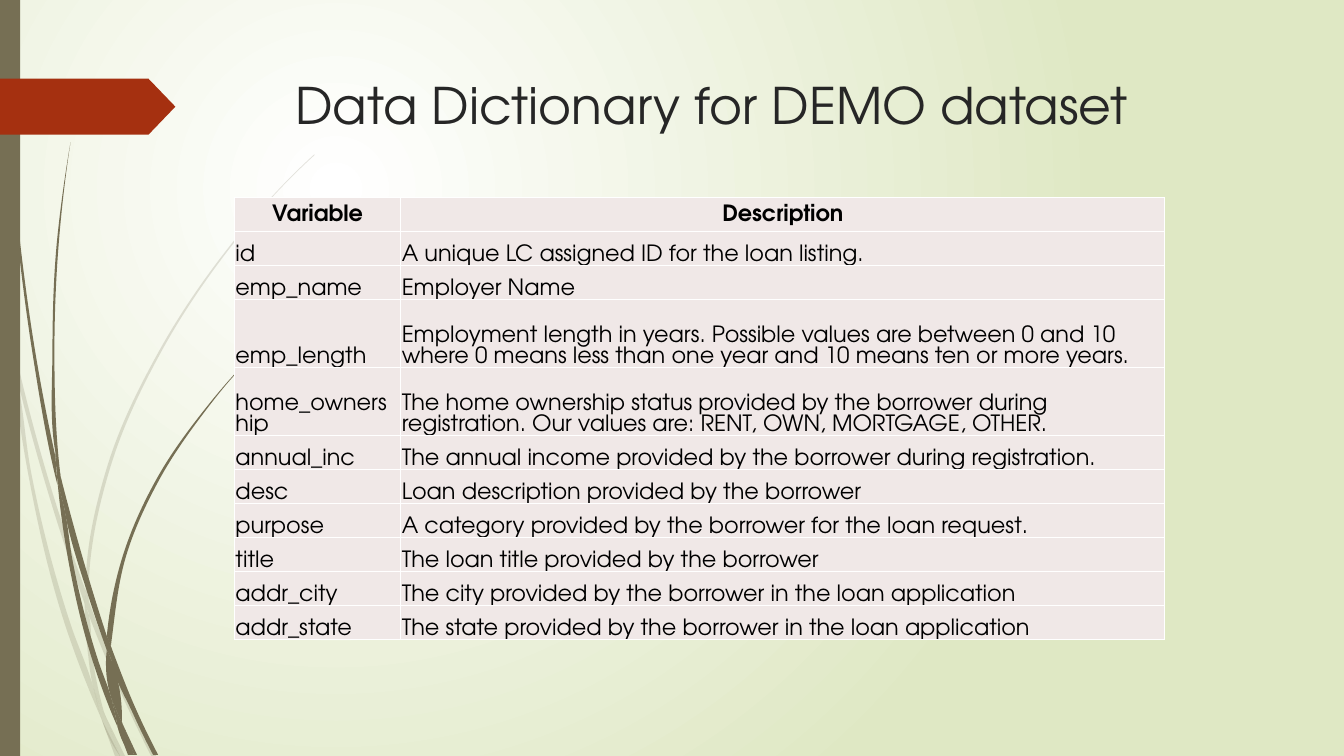
import pptx
import pptx.util
import pptx.dml.color
import pptx.enum.shapes
import pptx.enum.text
import pptx.oxml.ns

Pt = pptx.util.Pt
RGB = pptx.dml.color.RGBColor
qn = pptx.oxml.ns.qn
SHAPE = pptx.enum.shapes.MSO_SHAPE
ALIGN = pptx.enum.text.PP_ALIGN
ANCHOR = pptx.enum.text.MSO_ANCHOR

WHITE = RGB(0xFF, 0xFF, 0xFF)
GREEN = RGB(0xDF, 0xE8, 0xC4)
OLIVE = RGB(0x76, 0x6F, 0x54)
RUST = RGB(0xA5, 0x30, 0x10)
DARK = RGB(0x26, 0x26, 0x26)
BLACK = RGB(0, 0, 0)
PINK = RGB(0xF0, 0xE8, 0xE7)
FONT = "TeX Gyre Adventor"
UNIT = 0.72  # points per grid step of the grass

# Each blade: x y pairs up one edge / back down the other
PALE = [
    "11 350 9 322 0 282 / 0 299 10 344 11 350",
    "14 345 62 520 85 586 / 84 599 58 522 17 376",
    "88 596 92 607 127 692 155 750 / 150 750 123 694 88 610",
    "105 711 124 750 / 119 750 105 711",
    "11 350 17 376 31 469 70 619 93 683 99 707 101 714"
    " / 92 693 65 621 28 470 11 350",
    "84 599 87 646 93 683 96 692 105 711 / 103 706 91 646 88 610 84 599",
    "88 596 88 584 110 462 160 349 229 245 268 198 290 175 312 154"
    " / 312 153 289 175 268 197 228 244 158 348 107 461 85 584 85 586",
    "101 714 114 750 / 119 750 101 714",
    "88 608 88 596 / 85 586 84 599",
    "93 683 99 707 101 714 119 750 / 105 711 96 692 93 683",
]
DEEP = [
    "3 0 4 48 7 110 17 233 33 355 56 477 57 481"
    " / 55 453 36 355 19 232 8 109 5 48 4 0",
    "60 472 93 590 106 631 / 106 645 88 592 64 505 60 472",
    "110 641 113 649 136 706 157 749 / 152 749 132 708 111 656 110 641",
    "57 477 64 505 72 556 98 657 110 691 116 717 117 722"
    " / 111 708 93 659 68 557 57 477",
    "60 472 58 453 54 349 58 245 63 193 70 141"
    " / 70 141 62 193 56 245 52 349 55 449 60 472",
    "122 719 136 749 / 133 749 122 719",
    "55 449 60 472 64 505 / 57 477 55 453",
    "110 641 111 633 125 552 158 476 205 406 231 374 245 359 261 344"
    " / 260 344 245 358 231 373 204 405 156 474 122 551 106 631",
    "117 722 131 749 / 127 749 117 722",
    "106 645 110 691 116 706 122 719 / 121 716 111 656 109 651 106 645",
    "106 631 110 641 111 656 / 109 651 106 645",
    "110 691 116 706 122 719 133 749 / 130 749 117 722 116 717 110 691",
]
ROWS = [
    ("Variable", "Description"),
    ("id", "A unique LC assigned ID for the loan listing."),
    ("emp_name", "Employer Name"),
    ("emp_length", "Employment length in years. Possible values are between 0 and 10 "
     "where 0 means less than one year and 10 means ten or more years."),
    ("home_ownership", "The home ownership status provided by the borrower during "
     "registration. Our values are: RENT, OWN, MORTGAGE, OTHER."),
    ("annual_inc", "The annual income provided by the borrower during registration."),
    ("desc", "Loan description provided by the borrower"),
    ("purpose", "A category provided by the borrower for the loan request."),
    ("title", "The loan title provided by the borrower"),
    ("addr_city", "The city provided by the borrower in the loan application"),
    ("addr_state", "The state provided by the borrower in the loan application"),
]
TALL = (3, 4)  # rows of double height


def paint(shape, color):
    shape.shadow.inherit = False
    shape.fill.solid()
    shape.fill.fore_color.rgb = color
    shape.line.fill.background()


def knots(edge, left, top):
    """Return the points of an edge as complex numbers."""
    nums = [float(n) * UNIT for n in edge.split()]
    return [complex(Pt(left + x), Pt(top + y)) for x, y in zip(nums[::2], nums[1::2])]


def curves(dots):
    """Return the two control points of each curve along an edge."""
    steps = [b - a for a, b in zip(dots, dots[1:])]
    sizes = [abs(s) for s in steps]
    dirs = [s / n for s, n in zip(steps, sizes)]
    mids = [(dirs[i] * sizes[i + 1] + dirs[i + 1] * sizes[i])
            / (sizes[i] + sizes[i + 1]) for i in range(len(steps) - 1)]
    if mids:
        slopes = [2 * dirs[0] - mids[0], *mids, 2 * dirs[-1] - mids[-1]]
    else:
        slopes = dirs * 2
    return [(dots[i] + slopes[i] * n / 3, dots[i + 1] - slopes[i + 1] * n / 3)
            for i, n in enumerate(sizes)]


def bend(line, pair, part):
    """Turn one straight segment into a cubic curve."""
    curve = line.makeelement(qn("a:cubicBezTo"))
    for dot in pair:
        spot = {"x": str(round(dot.real) - part.left),
                "y": str(round(dot.imag) - part.top)}
        curve.append(curve.makeelement(qn("a:pt"), spot))
    curve.append(line[0])
    line.getparent().replace(line, curve)


def grass(slide, left, top, blades, alpha=None):
    parts = []
    for blade in blades:
        up, down = [knots(edge, left, top) for edge in blade.split("/")]
        dots = [(p.real, p.imag) for p in up + down]
        pen = slide.shapes.build_freeform(*dots[0], scale=1.0)
        pen.add_line_segments(dots[1:], close=True)
        part = pen.convert_to_shape()
        lines = list(part._element.iter(qn("a:lnTo")))
        for line, pair in zip(lines, curves(up) + [None] + curves(down)):
            if pair:
                bend(line, pair, part)
        paint(part, OLIVE)
        if alpha:
            tint = part._element.spPr.find(qn("a:solidFill"))[0]
            tint.append(tint.makeelement(qn("a:alpha"), {"val": str(alpha * 1000)}))
        parts.append(part)
    slide.shapes.add_group_shape(parts)


def backdrop(slide, high):
    # Radial glow
    fill = slide.background.fill
    fill.gradient()
    for stop, color, pos in zip(fill.gradient_stops, (WHITE, GREEN), (0, 1)):
        stop.color.rgb = color
        stop.position = pos
    grad = next(slide._element.iter(qn("a:gradFill")))
    glow = grad.makeelement(qn("a:path"), {"path": "circle"})
    rect = {"l": "50000", "t": "50000", "r": "100000", "b": "100000"}
    glow.append(glow.makeelement(qn("a:fillToRect"), rect))
    grad.replace(grad.find(qn("a:lin")), glow)
    # Grass, side bar and arrow
    grass(slide, 0, 0, PALE, 20)
    grass(slide, 0, 0, DEEP)
    bar = slide.shapes.add_shape(SHAPE.RECTANGLE, 0, 0, Pt(14.4), Pt(high))
    paint(bar, OLIVE)
    arrow = slide.shapes.add_shape(SHAPE.PENTAGON, 0, Pt(56.2), Pt(125.3), Pt(40))
    arrow.adjustments[0] = 0.48
    paint(arrow, RUST)


def style(para, size, color, bold=False):
    para.font.name = FONT
    para.font.size = Pt(size)
    para.font.color.rgb = color
    para.font.bold = bold


def heading(slide, left, top, wide, high):
    frame = slide.shapes.add_textbox(Pt(left), Pt(top), Pt(wide), Pt(high)).text_frame
    frame.word_wrap = True
    frame.text = "Data Dictionary for DEMO dataset"
    style(frame.paragraphs[0], 36, DARK)


def border(cell):
    props = cell._tc.get_or_add_tcPr()
    for i, side in enumerate(("lnL", "lnR", "lnT", "lnB")):
        line = props.makeelement(qn("a:" + side), {"w": str(Pt(1))})
        fill = line.makeelement(qn("a:solidFill"))
        fill.append(fill.makeelement(qn("a:srgbClr"), {"val": str(WHITE)}))
        line.append(fill)
        props.insert(i, line)


def grid(slide, left, top, wide, high):
    table = slide.shapes.add_table(len(ROWS), 2, Pt(left), Pt(top),
                                   Pt(wide), Pt(high)).table
    table.first_row = table.horz_banding = False
    table.columns[0].width = Pt(118.8)
    table.columns[1].width = Pt(wide - 118.8)
    unit = high / (len(ROWS) + len(TALL))
    for r, words in enumerate(ROWS):
        table.rows[r].height = Pt(unit * (2 if r in TALL else 1))
        for c, word in enumerate(words):
            cell = table.cell(r, c)
            cell.text = word
            cell.margin_left = cell.margin_right = cell.margin_top = Pt(0.72)
            cell.margin_bottom = 0
            cell.vertical_anchor = ANCHOR.BOTTOM if r else ANCHOR.MIDDLE
            cell.fill.solid()
            cell.fill.fore_color.rgb = PINK
            border(cell)
            para = cell.text_frame.paragraphs[0]
            para.alignment = ALIGN.LEFT if r else ALIGN.CENTER
            style(para, 16, BLACK, bold=not r)


def main():
    deck = pptx.Presentation()
    deck.slide_width, deck.slide_height = Pt(960), Pt(540)
    slide = deck.slides.add_slide(deck.slide_layouts[6])
    backdrop(slide, 540)
    heading(slide, 204, 49.5, 702, 100.8)
    grid(slide, 167.5, 141, 664.5, 316)
    deck.save("out.pptx")


if __name__ == "__main__":
    main()
